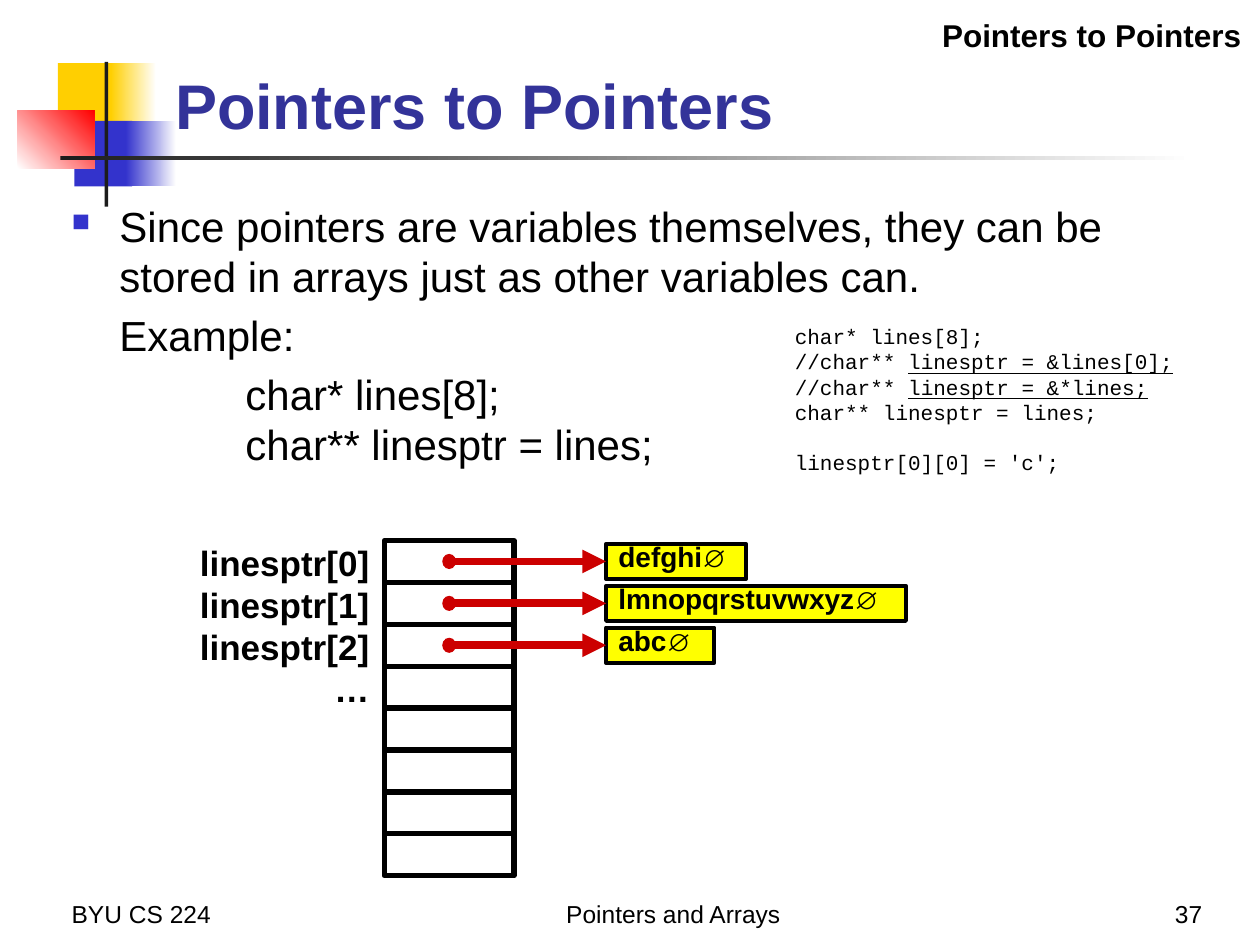
from lxml.etree import SubElement
from pptx import Presentation
from pptx.dml.color import RGBColor
from pptx.enum.shapes import MSO_CONNECTOR, MSO_SHAPE
from pptx.enum.text import MSO_ANCHOR, PP_ALIGN
from pptx.oxml.ns import qn
from pptx.util import Inches, Pt

COLORS = {
    "black": "000000", "white": "FFFFFF", "charcoal": "1C1C1C",
    "gold": "FFCF01", "blue": "3333CC", "red": "FF0000",
    "title": "333399", "arrow": "CC0000", "string": "FFFF00",
}
LABELS = ["linesptr[0]", "linesptr[1]", "linesptr[2]", "…"]
STRINGS = [("defghi", 1.11), ("lmnopqrstuvwxyz", 2.38), ("abc", 0.86)]
CELL_COUNT = 8
CODE = [
    [("char* lines[8];", False)],
    [("//char** ", False), ("linesptr = &lines[0];", True)],
    [("//char** ", False), ("linesptr = &*lines;", True)],
    [("char** linesptr = lines;", False)],
    [("linesptr[0][0] = 'c';", False)],
]


def rgb(name):
    """Return the named colour."""
    return RGBColor.from_string(COLORS[name])


def apply_format(target, values):
    """Set every attribute in values on target."""
    for name, value in values.items():
        setattr(target, name, value)


def add_run(paragraph, text, size, color="black", **values):
    """Add one formatted run to a paragraph."""
    run = paragraph.add_run()
    run.text = text
    apply_format(run.font, {"name": "Arial", "size": Pt(size), **values})
    run.font.color.rgb = rgb(color)


def add_text_box(slide, box, anchor=MSO_ANCHOR.TOP):
    """Add a wrapping text box and return its text frame."""
    frame = slide.shapes.add_textbox(*map(Inches, box)).text_frame
    apply_format(frame, {"word_wrap": True, "vertical_anchor": anchor})
    return frame


def add_line_text(slide, box, text, size, align, bold=False, anchor=MSO_ANCHOR.TOP):
    """Add a text box holding a single line."""
    paragraph = add_text_box(slide, box, anchor).paragraphs[0]
    paragraph.alignment = align
    add_run(paragraph, text, size, bold=bold)


def add_block(slide, box, fill=None, line_width=None, kind=MSO_SHAPE.RECTANGLE):
    """Add a flat shape with an optional fill and black outline."""
    shape = slide.shapes.add_shape(kind, *map(Inches, box))
    shape.shadow.inherit = False
    if fill:
        shape.fill.solid()
        shape.fill.fore_color.rgb = rgb(fill)
    else:
        shape.fill.background()
    if line_width:
        shape.line.color.rgb = rgb("black")
        shape.line.width = Pt(line_width)
    else:
        shape.line.fill.background()
    return shape


def add_gradient(slide, box, start, end, angle=0):
    """Add a rectangle that fades from one colour to another."""
    fill = add_block(slide, box).fill
    fill.gradient()
    fill.gradient_angle = angle
    for stop, color, position in zip(fill.gradient_stops, (start, end), (0, 1)):
        stop.color.rgb = rgb(color)
        stop.position = position


def add_decoration(slide, left, top):
    """Draw the coloured squares and crossing bars beside the title."""
    add_block(slide, (left + 0.32, top + 0.01, 0.48, 0.52), "gold")
    add_gradient(slide, (left + 0.74, top + 0.01, 0.36, 0.52), "gold", "white")
    add_block(slide, (left + 0.45, top + 0.47, 0.46, 0.52), "blue")
    add_gradient(slide, (left + 0.86, top + 0.47, 0.4, 0.52), "blue", "white")
    add_gradient(slide, (left, top + 0.39, 0.61, 0.46), "white", "red", 45)
    add_block(slide, (left + 0.69, top, 0.03, 1.15), "charcoal")
    add_gradient(slide, (left + 0.34, top + 0.75, 9, 0.03), "charcoal", "white")


def add_title(slide, box):
    """Place and format the title placeholder."""
    title = slide.shapes.title
    apply_format(title, dict(zip(("left", "top", "width", "height"), map(Inches, box))))
    title.text_frame.vertical_anchor = MSO_ANCHOR.BOTTOM
    paragraph = title.text_frame.paragraphs[0]
    paragraph.alignment = PP_ALIGN.LEFT
    add_run(paragraph, "Pointers to Pointers", 36, "title", bold=True)


def add_footer(slide, top, height):
    """Add the course, the topic and the page number."""
    for left, width, text, align in (
        (0.47, 2.08, "BYU CS 224", PP_ALIGN.LEFT),
        (2.78, 5.13, "Pointers and Arrays", PP_ALIGN.CENTER),
        (7.56, 2.08, "37", PP_ALIGN.RIGHT),
    ):
        add_line_text(slide, (left, top, width, height), text, 14, align,
                      anchor=MSO_ANCHOR.BOTTOM)


def add_square_bullet(properties):
    """Give paragraph properties a small blue square bullet."""
    color = SubElement(properties, qn("a:buClr"))
    SubElement(color, qn("a:srgbClr"), val=COLORS["blue"])
    SubElement(properties, qn("a:buSzPct"), val="60000")
    SubElement(properties, qn("a:buChar"), char="■")


def add_body(slide, box):
    """Add the bulleted statement and its indented example."""
    frame = add_text_box(slide, box)
    lines = [
        ("Since pointers are variables themselves, they can be stored in arrays "
         "just as other variables can.", 0.38, 0),
        ("Example:", 0.38, 4.8),
        ("char* lines[8];", 1.38, 4.8),
        ("char** linesptr = lines;", 1.38, 0),
    ]
    for index, (text, margin, space) in enumerate(lines):
        paragraph = frame.add_paragraph() if index else frame.paragraphs[0]
        properties = paragraph._p.get_or_add_pPr()
        properties.set("marL", str(Inches(margin)))
        if index == 0:
            properties.set("indent", str(Inches(-margin)))
            add_square_bullet(properties)
        paragraph.space_before = Pt(space)
        add_run(paragraph, text, 24)


def add_code(slide, box):
    """Add the code listing with its underlined alternatives."""
    frame = add_text_box(slide, box)
    for index, parts in enumerate(CODE):
        paragraph = frame.add_paragraph() if index else frame.paragraphs[0]
        for text, underline in parts:
            add_run(paragraph, text, 12, name="Courier New", underline=underline)
    paragraph.space_before = Pt(14)


def add_pointer(slide, start, middle, target):
    """Draw a dot and an arrow that ends at the target's left side."""
    add_block(slide, (start - 0.09, middle - 0.06, 0.11, 0.12), "arrow",
              kind=MSO_SHAPE.OVAL)
    arrow = slide.shapes.add_connector(
        MSO_CONNECTOR.STRAIGHT, Inches(start), Inches(middle), target.left, Inches(middle))
    arrow.end_connect(target, 1)
    arrow.line.color.rgb = rgb("arrow")
    arrow.line.width = Pt(4.5)
    SubElement(arrow.line._get_or_add_ln(), qn("a:tailEnd"), type="triangle")
    SubElement(arrow._element.spPr, qn("a:effectLst"))


def add_string(slide, box, text):
    """Add a yellow box holding a terminated string."""
    shape = add_block(slide, box, "string", 2.25)
    frame = shape.text_frame
    apply_format(frame, {"margin_top": 0, "margin_bottom": 0, "word_wrap": False,
                         "vertical_anchor": MSO_ANCHOR.TOP})
    paragraph = frame.paragraphs[0]
    apply_format(paragraph, {"alignment": PP_ALIGN.LEFT, "line_spacing": 0.9})
    add_run(paragraph, text, 16, bold=True)
    add_run(paragraph, "∅", 14, bold=True)
    return shape


def add_array_diagram(slide, left, top, width, height):
    """Draw the pointer array, its labels and the strings it points to."""
    row = height / CELL_COUNT
    tops = [top + index * row for index in range(CELL_COUNT)]
    for cell_top in tops:
        add_block(slide, (left, cell_top, width, row), line_width=3)
    for cell_top, label in zip(tops, LABELS):
        add_line_text(slide, (left - 1.77, cell_top - 0.04, 1.75, 0.43), label, 20,
                      PP_ALIGN.RIGHT, bold=True)
    for cell_top, (text, text_width) in zip(tops, STRINGS):
        middle = cell_top + row / 2
        target = add_string(slide, (left + 1.76, middle - 0.14, text_width, 0.28), text)
        add_pointer(slide, left + 0.55, middle, target)


def main():
    """Build and save the slide."""
    presentation = Presentation()
    presentation.slide_width, presentation.slide_height = Inches(10), Inches(7.5)
    slide = presentation.slides.add_slide(presentation.slide_layouts[5])
    add_decoration(slide, 0.14, 0.49)
    add_footer(slide, 6.92, 0.5)
    add_title(slide, (1.29, 0.23, 8.52, 0.95))
    add_body(slide, (0.47, 1.54, 9.17, 2.66))
    add_array_diagram(slide, 3.05, 4.29, 1.03, 2.66)
    add_line_text(slide, (5.93, 0.08, 4.02, 0.4), "Pointers to Pointers", 18,
                  PP_ALIGN.RIGHT, bold=True)
    add_code(slide, (6.21, 2.52, 3.46, 1.31))
    presentation.save("out.pptx")


if __name__ == "__main__":
    main()
